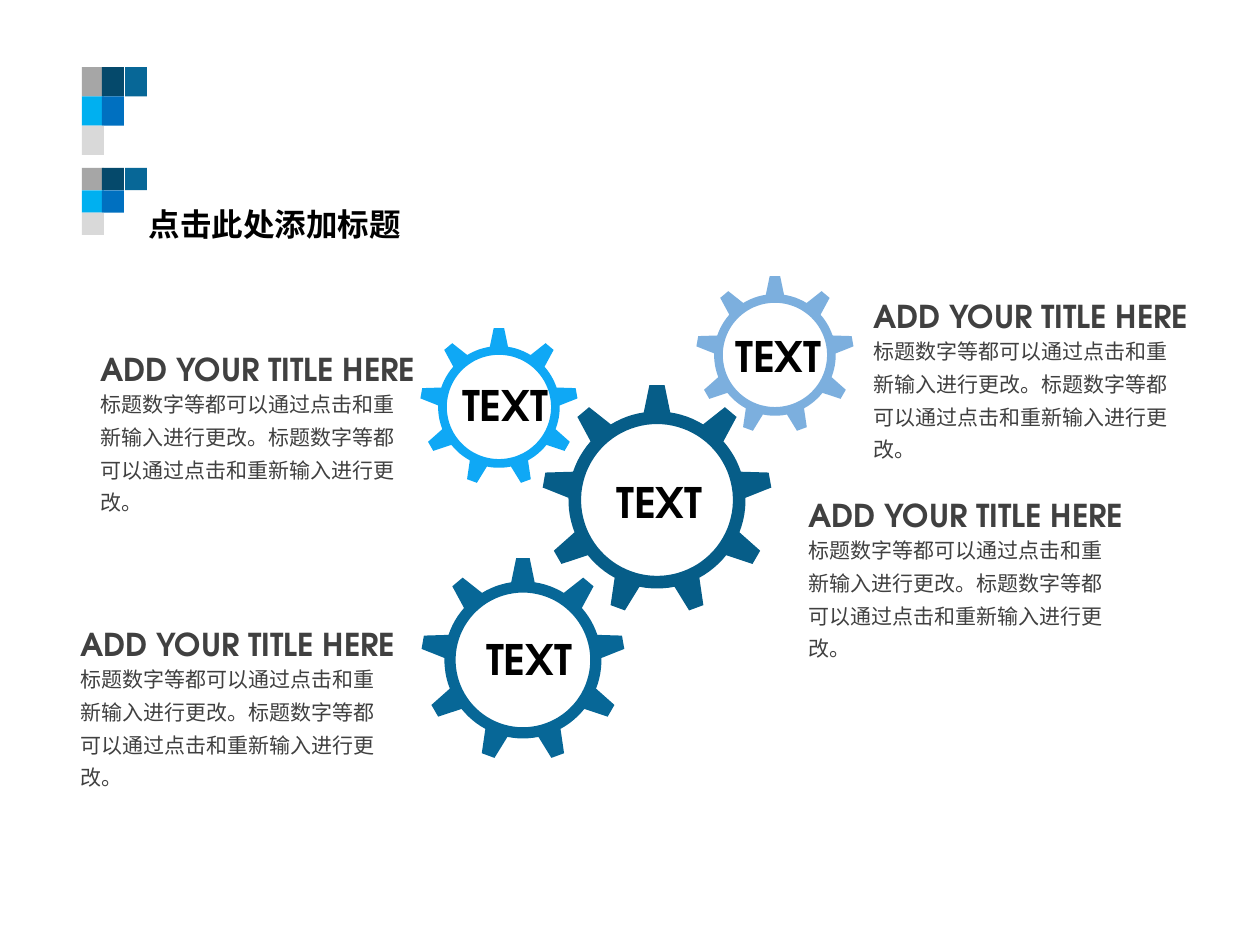
import math
import pptx
import pptx.util
import pptx.dml.color
import pptx.enum.shapes
import pptx.enum.text
from lxml import etree

RGB = pptx.dml.color.RGBColor
BLACK = RGB(0, 0, 0)
DARK = RGB(0x40, 0x40, 0x40)
GREY = RGB(0xA6, 0xA6, 0xA6)
PALE = RGB(0xD9, 0xD9, 0xD9)
NAVY = RGB(0x05, 0x49, 0x6B)
TEAL = RGB(0x07, 0x67, 0x97)
DEEP = RGB(0x06, 0x5D, 0x88)
CYAN = RGB(0x00, 0xB0, 0xF0)
BLUE = RGB(0x00, 0x70, 0xC0)
SKY = RGB(0x0F, 0xA8, 0xF5)
SOFT = RGB(0x7C, 0xAF, 0xDE)

LATIN = "TeX Gyre Adventor"
CJK = "Noto Sans CJK SC"
NS = "http://schemas.openxmlformats.org/drawingml/2006/main"
SCALE = 914400 / 126  # EMU in one px

HEAD = "ADD YOUR TITLE HERE"
BODY = "标题数字等都可以通过点击和重新输入进行更改。" * 2


def emu(px):
    return round(px * SCALE)


def write(shape, text, size=12, font=CJK, color=DARK, bold=False, space=1.0):
    frame = shape.text_frame
    frame.word_wrap = True
    frame.auto_size = pptx.enum.text.MSO_AUTO_SIZE.NONE
    frame.vertical_anchor = pptx.enum.text.MSO_ANCHOR.TOP
    para = frame.paragraphs[0]
    para.alignment = pptx.enum.text.PP_ALIGN.LEFT
    para.line_spacing = space
    run = para.add_run()
    run.text = text
    run.font.size = pptx.util.Pt(size)
    run.font.bold = bold
    run.font.color.rgb = color
    run.font.name = font
    # The East Asian font has no public setter
    east = etree.SubElement(run.font._element, "{%s}ea" % NS)
    east.set("typeface", font)


def label(shapes, box, text, **style):
    write(shapes.add_textbox(*map(emu, box)), text, **style)


def paint(shape, color):
    shape.shadow.inherit = False
    shape.fill.solid()
    shape.fill.fore_color.rgb = color
    shape.line.fill.background()


def mosaic(slide, x, y, h):
    """Three ragged rows of tiles, h px high in all."""
    rows = [(GREY, NAVY, TEAL), (CYAN, BLUE), (PALE,)]
    shapes = slide.shapes.add_group_shape().shapes
    for i, row in enumerate(rows):
        for left, color in zip((0, 20, 43), row):
            box = (x + left, y + h * i / 3, 22, h / 3)
            tile = shapes.add_shape(
                pptx.enum.shapes.MSO_SHAPE.RECTANGLE, *map(emu, box))
            paint(tile, color)


def gear(slide, x, y, r, color, dx, dy):
    """Nine-toothed ring centred on x, y; its text starts at dx, dy."""
    def spot(deg, part):
        turn = math.radians(deg)
        return (emu(x + r * part * math.sin(turn)),
                emu(y - r * part * math.cos(turn)))

    rim = []
    for mid in range(0, 360, 40):
        rim += [spot(mid - 3.8, 1), spot(mid + 3.8, 1)]
        rim += [spot(mid + 8.6 + 22.8 * i / 6, 0.77) for i in range(7)]
    hole = [spot(-deg, 0.66) for deg in range(0, 360, 4)]

    shapes = slide.shapes.add_group_shape().shapes
    pen = shapes.build_freeform(*rim[0], scale=1.0)
    pen.add_line_segments(rim[1:], close=True)
    pen.move_to(*hole[0])
    pen.add_line_segments(hole[1:], close=True)
    paint(pen.convert_to_shape(), color)
    label(shapes, (x + dx, y + dy, 118, 63), "TEXT",
          size=24, font=LATIN, color=BLACK, bold=True)


def note(slide, x, y):
    """Heading with its paragraph below."""
    label(slide.shapes, (x, y, 383, 50), HEAD,
          size=18, font=LATIN, bold=True)
    label(slide.shapes, (x, y + 34, 335, 178), BODY, space=1.3)


def main():
    deck = pptx.Presentation()
    deck.slide_width = pptx.util.Inches(10)
    deck.slide_height = pptx.util.Inches(7.5)
    slide = deck.slides.add_slide(deck.slide_layouts[5])

    # Header
    mosaic(slide, 82, 67, 88)
    mosaic(slide, 82, 168, 67)
    title = slide.shapes.title
    title.left, title.top, title.width, title.height = map(
        emu, (136, 199, 295, 50))
    write(title, "点击此处添加标题", size=18, color=BLACK, bold=True)

    # Gears
    gear(slide, 775, 355, 79, SOFT, -52, -31)
    gear(slide, 657, 500, 115, DEEP, -53, -30)
    gear(slide, 499, 407, 79, SKY, -49, -34)
    gear(slide, 523, 660, 102, TEAL, -49, -33)

    # Notes
    for x, y in [(861, 291), (796, 490), (68, 619), (88, 344)]:
        note(slide, x, y)

    deck.save("out.pptx")


if __name__ == "__main__":
    main()
